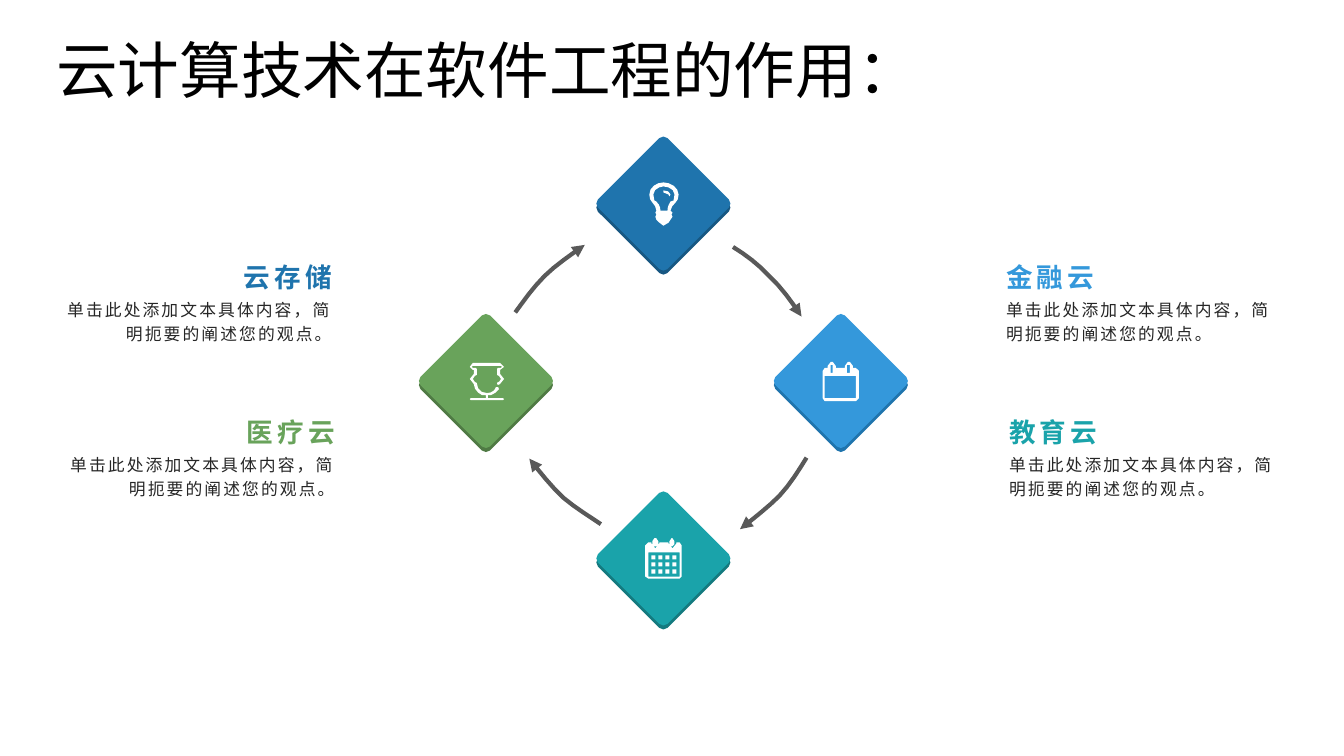
from lxml.etree import SubElement
from pptx import Presentation
from pptx.dml.color import RGBColor
from pptx.enum.text import MSO_ANCHOR, PP_ALIGN
from pptx.oxml.ns import qn
from pptx.util import Emu, Pt

PX = 9144  # one px is a hundredth of an inch
CJK = "Noto Sans CJK SC"
BODY = "单击此处添加文本具体内容，简明扼要的阐述您的观点。"
RING_CENTRE, RING_RADIUS, DIAMOND_DEPTH = (658, 378), 176, 4

# An outline is a start point, then line ends (x, y) or cubic curves (x1, y1, x2, y2, x, y)
DIAMOND = [(-4, 65), (-2, 67, 2, 67, 4, 65), (65, 4), (67, 2, 67, -2, 65, -4),
           (4, -65), (2, -67, -2, -67, -4, -65), (-65, -4), (-67, -2, -67, 2, -65, 4)]

# Arrow curves, measured from the ring centre
ARROWS = [
    [(-147, -68), (-138, -80, -130, -92, -118, -104), (-107, -115, -92, -125, -78, -135)],
    [(142, 76), (134, 89, 126, 102, 115, 114), (104, 125, 90, 136, 76, 147)],
    [(-62, 142), (-74, 134, -87, 126, -99, 116), (-111, 105, -122, 91, -133, 77)],
    [(69, -133), (82, -125, 94, -116, 105, -104), (117, -93, 127, -79, 137, -64)],
]


def rectangle(left, top, right, bottom):
    return [(left, top), (right, top), (right, bottom), (left, bottom)]


def pill(left, top, right, bottom):
    return [(left + 2, top), (right - 2, top), (right, top + 3), (right, bottom - 2),
            (right - 2, bottom), (left + 2, bottom), (left, bottom - 2), (left, top + 3)]


# Icons, measured from their top left corner
TROPHY = [[
    (3, 0), (30, 0), (32, 0, 34, 2, 34, 4), (34, 6, 32, 7, 30, 7), (30, 11),
    (32, 11, 34, 13, 34, 16), (34, 18, 32, 21, 30, 21), (28, 22),
    (27, 21), (27, 20), (28, 19), (29, 19), (30, 19, 31, 17, 31, 16),
    (31, 14, 30, 13, 29, 13), (27, 12), (27, 6), (28, 5),
    (31, 5), (32, 4), (31, 3), (3, 3), (2, 4), (3, 5), (6, 5), (7, 6),
    (7, 12), (5, 13), (4, 13, 3, 14, 3, 16), (3, 17, 4, 19, 5, 19),
    (7, 20), (7, 26, 11, 30, 17, 30), (21, 30, 25, 28, 26, 24), (28, 24),
    (29, 26), (27, 29, 24, 31, 21, 32), (18, 32), (18, 35), (33, 35), (34, 36), (33, 37),
    (1, 37), (0, 36), (1, 35), (16, 35), (16, 32), (12, 32), (8, 30, 4, 26, 4, 21),
    (2, 21, 0, 18, 0, 16), (0, 13, 2, 11, 4, 11), (4, 7), (3, 7),
    (1, 7, 0, 6, 0, 4), (0, 2, 1, 0, 3, 0),
]]
CALENDAR = [
    [(36, 36), (36, 38, 34, 39, 33, 39), (2, 39), (0, 36), (0, 9),
     (2, 6), (5, 6), (5, 4), (5, 2, 7, 0, 8, 0), (10, 0),
     (12, 0, 13, 2, 13, 4), (13, 6), (22, 6), (22, 4), (22, 2, 23, 0, 25, 0), (27, 0),
     (28, 0, 30, 2, 30, 4), (30, 6), (33, 6), (34, 6, 36, 7, 36, 9)],
    rectangle(2, 14, 33, 36), rectangle(8, 3, 10, 11), rectangle(24, 3, 27, 11),
]
MONTH = [
    [(34, 40), (3, 40), (0, 38), (0, 7), (0, 5, 1, 4, 3, 4), (6, 4), (6, 5),
     (6, 8, 8, 10, 10, 10), (12, 10, 14, 8, 14, 5), (14, 4), (23, 4), (23, 5),
     (23, 8, 24, 10, 27, 10), (29, 10, 31, 8, 31, 5), (31, 4), (34, 4),
     (36, 7), (36, 38)],
    rectangle(3, 14, 34, 38), pill(7, 0, 13, 8), pill(24, 0, 29, 8),
    *[rectangle(x, y, x + 4, y + 4) for y in range(17, 32, 7) for x in range(6, 28, 7)],
]
BULB = [
    [(26, 20), (24, 22, 21, 25, 21, 28), (23, 30), (22, 32), (23, 34), (21, 37), (19, 40),
     (18, 42, 17, 43, 14, 43), (13, 43, 11, 42, 10, 40), (7, 37), (6, 34), (7, 32),
     (6, 30), (7, 28), (7, 25, 5, 22, 3, 20), (1, 18, 0, 16, 0, 12),
     (0, 5, 7, 0, 14, 0), (21, 0, 29, 5, 29, 12), (29, 16, 28, 18, 26, 20)],
    [(14, 4), (10, 4, 4, 7, 4, 12), (4, 14, 5, 16, 5, 18), (7, 19),
     (10, 22, 11, 25, 11, 28), (18, 28), (18, 25, 19, 22, 21, 19), (24, 18),
     (24, 16, 25, 14, 25, 12), (25, 7, 19, 4, 14, 4)],
    [(20, 14), (19, 12), (19, 11, 16, 10, 14, 10), (14, 8),
     (17, 8, 21, 9, 21, 12)],
]

# Ring position, face colour, side colour, icon and its offset from the diamond centre
DIAMONDS = [
    ((-1, 0), "69A35B", "4F7A44", TROPHY, (-16, -18)),
    ((1, 0), "3498DB", "1F74AD", CALENDAR, (-18, -19)),
    ((0, 1), "1AA3AA", "147A7F", MONTH, (-18, -20)),
    ((0, -1), "1F74AD", "175782", BULB, (-14, -21)),
]
# Left, top, heading, colour, alignment
CAPTIONS = [
    (43, 232, "云存储", "1F74AD", PP_ALIGN.RIGHT),
    (46, 386, "医疗云", "69A35B", PP_ALIGN.RIGHT),
    (988, 232, "金融云", "3498DB", PP_ALIGN.LEFT),
    (991, 386, "教育云", "1AA3AA", PP_ALIGN.LEFT),
]


def px(length):
    return Emu(round(length * PX))


def color(hex_string):
    return RGBColor.from_string(hex_string)


def trace(outline, left, top):
    """Turn an outline into EMU points; longer curves get more steps."""
    points = [outline[0]]
    for segment in outline[1:]:
        start, end = points[-1], segment[-2:]
        controls = [start, segment[:2], segment[2:4], end]
        span = max(abs(end[0] - start[0]), abs(end[1] - start[1]))
        steps = min(max(span // 3, 1), 4) if len(segment) == 6 else 1
        for step in range(1, steps):
            t = step / steps
            weights = ((1 - t) ** 3, 3 * t * (1 - t) ** 2, 3 * t * t * (1 - t), t ** 3)
            points.append(tuple(sum(weight * control[axis] for weight, control
                                    in zip(weights, controls)) for axis in (0, 1)))
        points.append(end)
    return [(px(left + x), px(top + y)) for x, y in points]


def add_outline(slide, outlines, left, top, close=True):
    traces = [trace(outline, left, top) for outline in outlines]
    builder = slide.shapes.build_freeform(*traces[0][0], scale=1.0)
    for number, points in enumerate(traces):
        if number:
            builder.move_to(*points[0])
        builder.add_line_segments(points[1:], close=close)
    shape = builder.convert_to_shape()
    shape.shadow.inherit = False
    return shape


def add_filled(slide, outlines, left, top, fill):
    shape = add_outline(slide, outlines, left, top)
    shape.fill.solid()
    shape.fill.fore_color.rgb = color(fill)
    shape.line.fill.background()


def add_arrow(slide, curve, left, top):
    shape = add_outline(slide, [curve], left, top, close=False)
    shape.fill.background()
    shape.line.color.rgb = color("595959")
    shape.line.width = Pt(3)
    SubElement(shape.line._get_or_add_ln(), qn("a:tailEnd"), type="triangle")


def add_text(slide, box, text, size, fill, font=CJK, bold=False, align=PP_ALIGN.LEFT,
             anchor=MSO_ANCHOR.TOP, margins=(5, 5), line_spacing=1.2, tracking=0):
    frame = slide.shapes.add_textbox(*map(px, box)).text_frame
    frame.word_wrap = True
    frame.vertical_anchor = anchor
    frame.margin_top, frame.margin_bottom = map(px, margins)
    paragraph = frame.paragraphs[0]
    paragraph.text = text
    paragraph.alignment = align
    paragraph.line_spacing = line_spacing
    paragraph.font.size = Pt(size)
    paragraph.font.bold = bold
    paragraph.font.name = font
    paragraph.font.color.rgb = color(fill)
    # Letter spacing and the East Asian typeface
    properties = paragraph._p.pPr.find(qn("a:defRPr"))
    properties.set("spc", str(round(tracking * 100)))
    SubElement(properties, qn("a:ea"), typeface=CJK)


def add_diamond(slide, x, y, face, side, icon, offset):
    add_filled(slide, [DIAMOND], x, y + DIAMOND_DEPTH, side)
    add_filled(slide, [DIAMOND], x, y, face)
    add_filled(slide, icon, x + offset[0], y + offset[1], "FFFFFF")


def add_cycle(slide, x, y, radius):
    for (across, down), *look in DIAMONDS:
        add_diamond(slide, x + across * radius, y + down * radius, *look)
    for curve in ARROWS:
        add_arrow(slide, curve, x, y)


def add_caption(slide, left, top, heading, fill, align):
    add_text(slide, (left, top, 296, 58), heading, 19, fill, bold=True, align=align,
             anchor=MSO_ANCHOR.BOTTOM, margins=(5, 0), tracking=3)
    add_text(slide, (left, top + 61, 296, 72), BODY, 12, "262626", align=align,
             margins=(0, 5), tracking=1.5)


def main():
    presentation = Presentation()
    presentation.slide_width, presentation.slide_height = px(1333), px(750)
    slide = presentation.slides.add_slide(presentation.slide_layouts[6])
    add_cycle(slide, *RING_CENTRE, RING_RADIUS)
    for caption in CAPTIONS:
        add_caption(slide, *caption)
    add_text(slide, (46, 0, 1150, 145), "云计算技术在软件工程的作用：", 44, "000000",
             font="Calibri", anchor=MSO_ANCHOR.MIDDLE, line_spacing=0.9)
    presentation.save("out.pptx")


if __name__ == "__main__":
    main()
